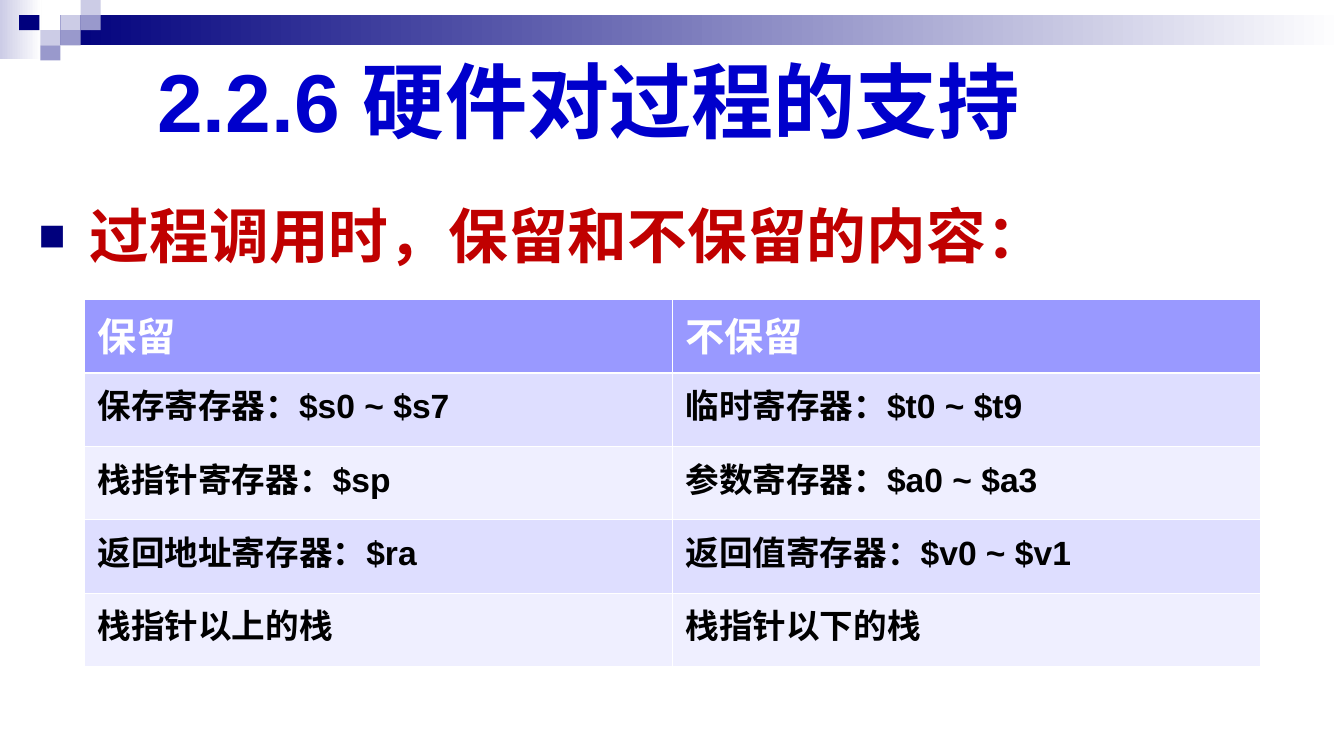
from dataclasses import dataclass

from lxml import etree
from pptx import Presentation
from pptx import util as u
from pptx.dml.color import RGBColor
from pptx.enum import shapes, text
from pptx.oxml import ns

WIDE = 10
HIGH = WIDE * 9 / 16
UNIT_X, UNIT_Y = 0.15, HIGH / 50  # grid of the top ornament
NAVY, MID, PALE, WHITE = "00007D", "9999CC", "CCCCE6", "FFFFFF"
FONT = "Arial"


@dataclass
class Block:
    col: float
    row: float
    cols: float
    rows: float
    fill: str
    fade: str = ""


BLOCKS = [
    Block(0, 0, 2.07, 3.9, PALE, WHITE),
    Block(3, 1, WIDE / UNIT_X - 3, 2, NAVY, WHITE),
    Block(3, 1, 1, 1, PALE),
    Block(4, 0, 1, 1, PALE),
    Block(4, 1, 1, 1, MID),
    Block(2, 2, 1, 1, PALE),
    Block(0.95, 1, 1, 1, NAVY),
    Block(3, 2, 1, 1, MID),
    Block(2, 3, 1, 1, MID),
]
ROWS = [
    ("保留", "不保留"),
    ("保存寄存器：$s0 ~ $s7", "临时寄存器：$t0 ~ $t9"),
    ("栈指针寄存器：$sp", "参数寄存器：$a0 ~ $a3"),
    ("返回地址寄存器：$ra", "返回值寄存器：$v0 ~ $v1"),
    ("栈指针以上的栈", "栈指针以下的栈"),
]


def rgb(code: str) -> RGBColor:
    return RGBColor.from_string(code)


def add(parent, tag: str, **attrs: str):
    return etree.SubElement(parent, ns.qn(tag), attrs)


def style(para, size: float, color: str) -> None:
    para.alignment = text.PP_ALIGN.LEFT
    for run in para.runs:
        font = run.font
        font.name, font.size, font.bold = FONT, u.Pt(size), True
        font.color.rgb = rgb(color)


def place(shape, left: float, top: float, width: float, height: float) -> None:
    shape.left, shape.top = u.Inches(left), u.Inches(top)
    shape.width, shape.height = u.Inches(width), u.Inches(height)


def draw_block(slide, block: Block) -> None:
    shape = slide.shapes.add_shape(shapes.MSO_SHAPE.RECTANGLE, 0, 0, 0, 0)
    place(shape, block.col * UNIT_X, block.row * UNIT_Y,
          block.cols * UNIT_X, block.rows * UNIT_Y)
    shape.shadow.inherit = False
    shape.line.fill.background()
    if block.fade:
        shape.fill.gradient()
        shape.fill.gradient_angle = 0
        for stop, code in zip(shape.fill.gradient_stops, (block.fill, block.fade)):
            stop.color.rgb = rgb(code)
    else:
        shape.fill.solid()
        shape.fill.fore_color.rgb = rgb(block.fill)


def draw_title(slide, words: str) -> None:
    title = slide.shapes.title
    place(title, 1.07, 0.43, 8.93, 0.62)
    frame = title.text_frame
    frame.text = words
    frame.auto_size = text.MSO_AUTO_SIZE.NONE
    frame.vertical_anchor = text.MSO_ANCHOR.MIDDLE
    style(frame.paragraphs[0], 44, "0000CC")


def draw_point(slide, words: str) -> None:
    box = slide.shapes.add_textbox(0, 0, 0, 0)
    place(box, 0.19, 1.43, 9.67, 0.66)
    frame = box.text_frame
    frame.word_wrap = True
    frame.text = words
    para = frame.paragraphs[0]
    props = para._p.get_or_add_pPr()
    props.set("marL", str(u.Inches(0.38)))
    props.set("indent", str(u.Inches(-0.38)))
    add(add(props, "a:buClr"), "a:srgbClr", val=NAVY)
    add(props, "a:buSzPct", val="75000")
    add(props, "a:buFont", typeface=FONT)
    add(props, "a:buChar", char="■")
    style(para, 32, "C00000")


def edge(cell, side: str, width: float) -> None:
    line = add(cell._tc.get_or_add_tcPr(), f"a:{side}", w=str(u.Pt(width)))
    add(add(line, "a:solidFill"), "a:srgbClr", val=WHITE)


def draw_table(slide) -> None:
    count, span = len(ROWS), len(ROWS[0])
    frame = slide.shapes.add_table(
        count, span, u.Inches(WIDE / 16), u.Inches(2.23),
        u.Inches(WIDE * 7 / 8), u.Inches(2.73))
    for r, row in enumerate(ROWS):
        for c, words in enumerate(row):
            cell = frame.table.cell(r, c)
            # Borders come before the fill; the header rule is thicker
            edge(cell, "lnL", 0.45)
            edge(cell, "lnR", 0.45)
            edge(cell, "lnT", 1.47 if r == 1 else 0.45)
            edge(cell, "lnB", 1.47 if r == 0 else 0.45)
            cell.fill.solid()
            band = "DEDEFF" if r % 2 else "EFEFFF"
            cell.fill.fore_color.rgb = rgb(band if r else "9999FF")
            cell.text_frame.text = words
            style(cell.text_frame.paragraphs[0], 18 if r else 21,
                  "000000" if r else WHITE)


def main() -> None:
    deck = Presentation()
    deck.slide_width, deck.slide_height = u.Inches(WIDE), u.Inches(HIGH)
    slide = deck.slides.add_slide(deck.slide_layouts[5])
    # Top ornament
    for block in BLOCKS:
        draw_block(slide, block)
    # Heading, point and table
    draw_title(slide, "2.2.6 硬件对过程的支持")
    draw_point(slide, "过程调用时，保留和不保留的内容：")
    draw_table(slide)
    deck.save("out.pptx")


if __name__ == "__main__":
    main()
